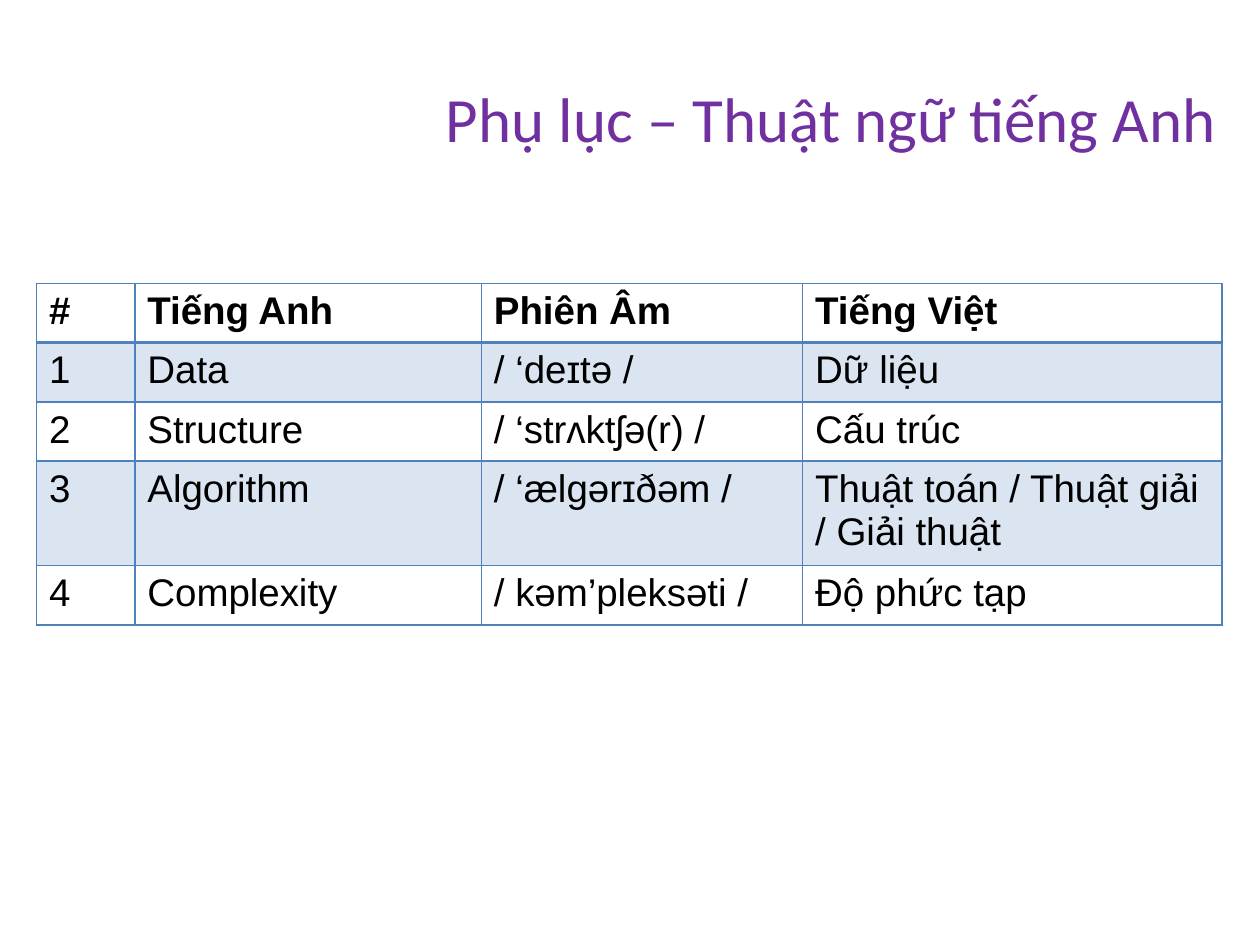
from lxml.etree import SubElement
from pptx import Presentation
from pptx.dml.color import RGBColor
from pptx.enum.text import MSO_ANCHOR, PP_ALIGN
from pptx.oxml.ns import qn
from pptx.util import Inches, Pt

COLORS = {"title": "7030A0", "text": "000000", "accent": "4F81BD"}
COL_WIDTHS = [0.78, 2.75, 2.55, 3.33]
ROW_HEIGHTS = [0.47, 0.47, 0.47, 0.83, 0.47]
TERMS = [
    ["#", "Tiếng Anh", "Phiên Âm", "Tiếng Việt"],
    ["1", "Data", "/ ‘deɪtə /", "Dữ liệu"],
    ["2", "Structure", "/ ‘strʌktʃə(r) /", "Cấu trúc"],
    ["3", "Algorithm", "/ ‘ælɡərɪðəm /", "Thuật toán / Thuật giải / Giải thuật"],
    ["4", "Complexity", "/ kəm’pleksəti /", "Độ phức tạp"],
]


def add_run(p, text, font, size, color, bold=False):
    r = p.add_run()
    r.text = text
    r.font.name = font
    r.font.size = Pt(size)
    r.font.bold = bold
    r.font.color.rgb = RGBColor.from_string(COLORS[color])


def set_title(s, text):
    sp = s.shapes.title
    sp.left, sp.top = Inches(3), Inches(0.58)
    sp.width, sp.height = Inches(6.75), Inches(0.71)
    tf = sp.text_frame
    tf.word_wrap = True
    tf.vertical_anchor = MSO_ANCHOR.MIDDLE
    p = tf.paragraphs[0]
    p.alignment = PP_ALIGN.RIGHT
    add_run(p, text, "Calibri", 36, "title")


def set_borders(cell, widths):
    tc_pr = cell._tc.get_or_add_tcPr()
    for side, width in zip("LRTB", widths):
        ln = SubElement(tc_pr, qn(f"a:ln{side}"), w=str(Pt(width)))
        fill = SubElement(ln, qn("a:solidFill"))
        SubElement(fill, qn("a:srgbClr"), val=COLORS["accent"])


def set_fill(cell, banded):
    if not banded:
        cell.fill.background()
        return
    cell.fill.solid()
    cell.fill.fore_color.rgb = RGBColor.from_string(COLORS["accent"])
    # 20 % opacity
    clr = cell._tc.tcPr.find(qn("a:solidFill")).find(qn("a:srgbClr"))
    SubElement(clr, qn("a:alpha"), val="20000")


def add_terms_table(s):
    frame = s.shapes.add_table(
        len(TERMS), len(COL_WIDTHS), Inches(0.29), Inches(2.25),
        Inches(sum(COL_WIDTHS)), Inches(sum(ROW_HEIGHTS)))
    table = frame.table
    table.first_row = table.horz_banding = False
    for column, width in zip(table.columns, COL_WIDTHS):
        column.width = Inches(width)
    for row, height in zip(table.rows, ROW_HEIGHTS):
        row.height = Inches(height)

    # Heavier line under the header, tint on odd rows
    for i, terms in enumerate(TERMS):
        top, bottom = (2 if i == 1 else 1), (2 if i == 0 else 1)
        for j, text in enumerate(terms):
            cell = table.cell(i, j)
            set_borders(cell, (1, 1, top, bottom))
            set_fill(cell, i % 2 == 1)
            add_run(cell.text_frame.paragraphs[0], text, "Arial", 22, "text", i == 0)


def main():
    prs = Presentation()
    prs.slide_width, prs.slide_height = Inches(10), Inches(7.5)
    s = prs.slides.add_slide(prs.slide_layouts[5])
    set_title(s, "Phụ lục – Thuật ngữ tiếng Anh")
    add_terms_table(s)
    prs.save("out.pptx")


if __name__ == "__main__":
    main()
